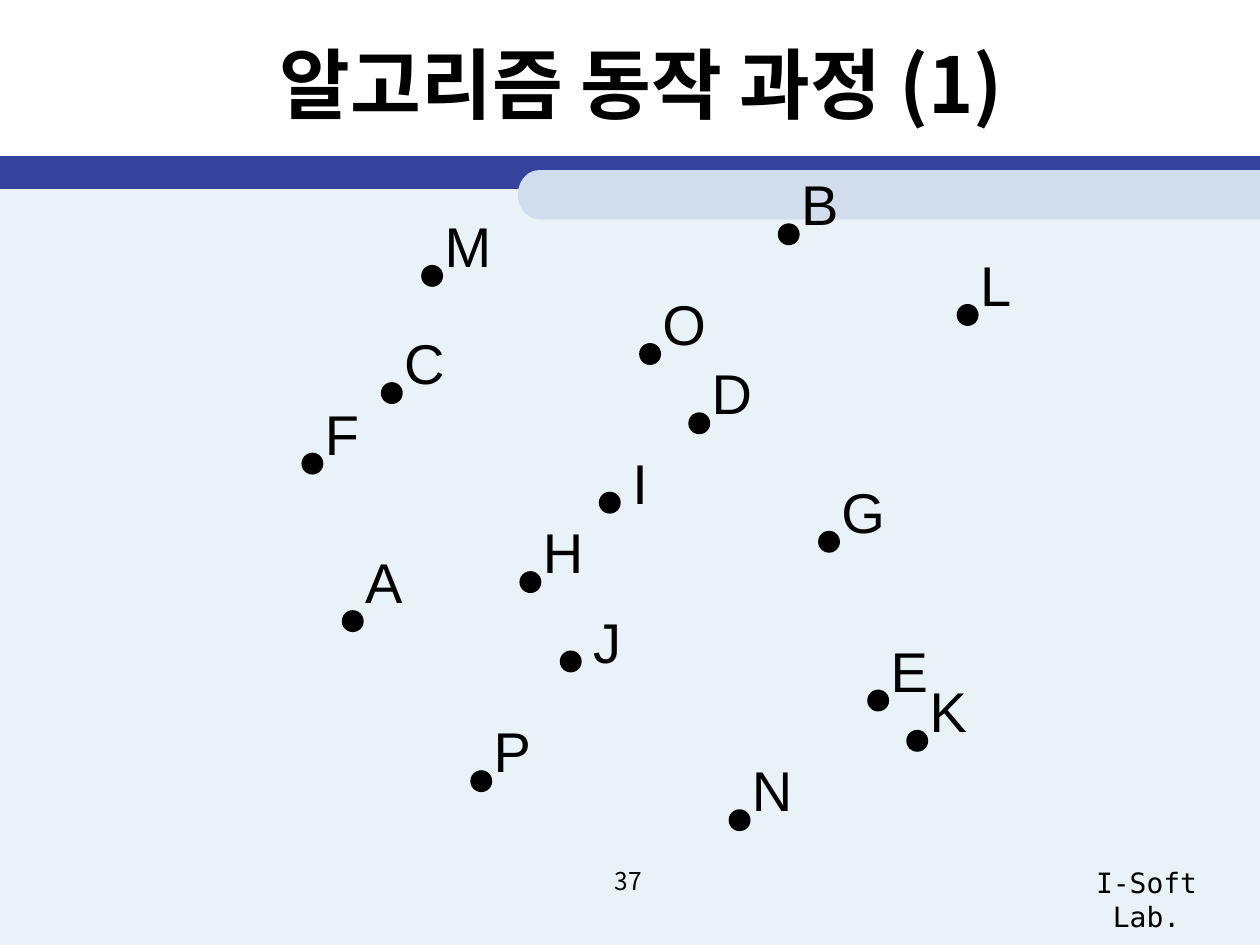
"""Build the slide of labelled points for step one of the algorithm."""
import math

import pptx
import pptx.enum.shapes
import pptx.enum.text
import pptx.util
from lxml import etree
from pptx.oxml.ns import qn

Inches = pptx.util.Inches
Pt = pptx.util.Pt
RGB = pptx.dml.color.RGBColor.from_string
SHAPE = pptx.enum.shapes.MSO_SHAPE
ALIGN = pptx.enum.text.PP_ALIGN
HUES = {"ink": "000000", "page": "E8F2F7", "bar": "36429B", "tab": "D1DDEC"}
KOREAN = "Noto Sans CJK KR"


def paint(shape, hue):
    shape.shadow.inherit = False
    shape.fill.solid()
    shape.fill.fore_color.rgb = RGB(HUES[hue])
    shape.line.fill.background()


def write(box, text, size, face, align, bold=False):
    box.text_frame.word_wrap = True
    para = box.text_frame.paragraphs[0]
    para.text = text
    para.alignment = align
    para.font.size = Pt(size)
    para.font.name = face
    para.font.bold = bold
    para.font.color.rgb = RGB(HUES["ink"])


deck = pptx.Presentation()
deck.slide_width, deck.slide_height = Inches(10), Inches(7.5)
slide = deck.slides.add_slide(deck.slide_layouts[5])
shapes = slide.shapes

for top, high, hue in [(1.4, 6.1, "page"), (1.24, 0.26, "bar")]:
    band = shapes.add_shape(SHAPE.RECTANGLE, 0, Inches(top), Inches(10), Inches(high))
    paint(band, hue)

arc = [math.radians(90 + 10 * step) for step in range(19)]
edge = [(4.28 + 0.17 * math.cos(turn), 1.545 - 0.195 * math.sin(turn)) for turn in arc]
pen = shapes.build_freeform(Inches(10), Inches(1.35), scale=1.0)
pen.add_line_segments([(Inches(x), Inches(y)) for x, y in edge + [(10, 1.74)]], close=True)
paint(pen.convert_to_shape(), "tab")

title = shapes.title
title.left, title.top = Inches(0.59), Inches(0.08)
title.width, title.height = Inches(9), Inches(1.15)
title.text_frame.vertical_anchor = pptx.enum.text.MSO_ANCHOR.MIDDLE
write(title, "알고리즘 동작 과정 (1)", 44, KOREAN, ALIGN.CENTER, True)
props = title.text_frame.paragraphs[0].runs[0]._r.get_or_add_rPr()
etree.SubElement(props, qn("a:ea")).set("typeface", KOREAN)

feet = [
    ("I-Soft Lab.", 8.31, 1.58, 16, "DejaVu Sans Mono"),
    ("37", 3.82, 2.33, 14, KOREAN),
]
for text, left, wide, size, face in feet:
    foot = shapes.add_textbox(Inches(left), Inches(6.82), Inches(wide), Inches(0.52))
    write(foot, text, size, face, ALIGN.CENTER)

dots = {
    "A": (2.72, 4.85), "B": (6.18, 1.78), "C": (3.03, 3.04), "D": (5.47, 3.28),
    "E": (6.89, 5.48), "F": (2.4, 3.6), "G": (6.5, 4.22), "H": (4.13, 4.54),
    "I": (4.76, 3.91), "J": (4.45, 5.17), "K": (7.2, 5.8), "L": (7.6, 2.42),
    "M": (3.35, 2.11), "N": (5.79, 6.43), "O": (5.08, 2.73), "P": (3.74, 6.12),
}
shifts = {"A": (0.08, -0.55), "I": (0.16, -0.4), "J": (0.16, -0.4)}
for name, (x, y) in dots.items():
    dot = shapes.add_shape(SHAPE.OVAL, Inches(x), Inches(y), Inches(0.16), Inches(0.16))
    paint(dot, "ink")
    dot.line.color.rgb = RGB(HUES["ink"])
    dot.line.width = Pt(1)
    right, down = shifts.get(name, (0.08, -0.48))
    label = shapes.add_textbox(Inches(x + right), Inches(y + down), Inches(0.6), Inches(0.64))
    write(label, name, 32, "Arial", ALIGN.LEFT)

deck.save("out.pptx")
